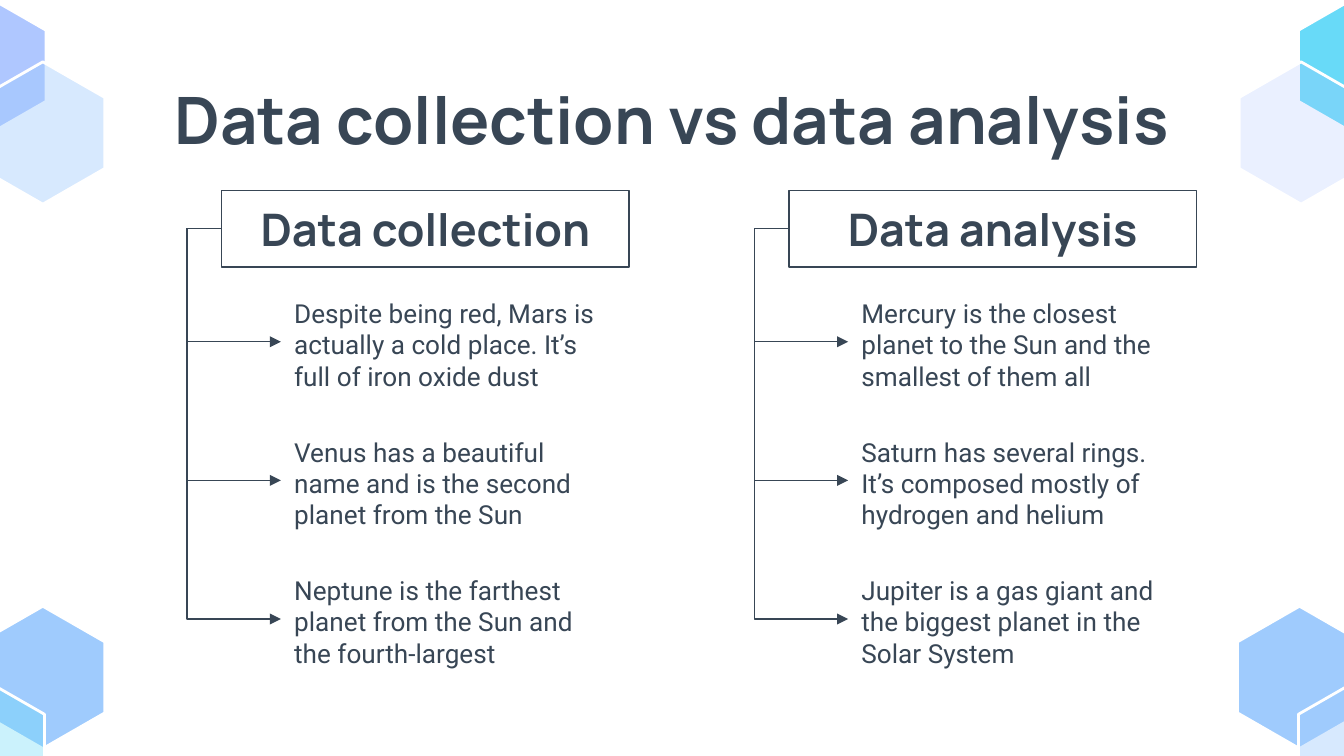
from dataclasses import dataclass

from lxml.etree import SubElement
from pptx import Presentation
from pptx.dml.color import RGBColor
from pptx.enum.shapes import MSO_CONNECTOR, MSO_SHAPE
from pptx.enum.text import MSO_ANCHOR, PP_ALIGN
from pptx.oxml.ns import qn
from pptx.util import Cm, Pt


@dataclass(frozen=True)
class Theme:
    ink: str = "384655"
    white: str = "FFFFFF"
    sky: str = "9FCBFD"
    cyan: str = "68DAF8"
    lilac: str = "AFC7FF"
    heading: str = "Manrope"
    body: str = "Roboto"
    title_pt: int = 35
    header_pt: int = 24
    body_pt: int = 14
    rule_pt: float = 0.75
    hex_line_pt: float = 1.5


T = Theme()
HEX_W, HEX_H = 2.34, 2.69


def rgb(colour):
    return RGBColor.from_string(colour)


def set_text(sp, text, font=T.body, size=T.body_pt, bold=False,
             align=PP_ALIGN.LEFT, anchor=MSO_ANCHOR.TOP):
    tf = sp.text_frame
    tf.word_wrap = True
    tf.vertical_anchor = anchor
    tf.margin_left = tf.margin_right = tf.margin_top = tf.margin_bottom = Cm(0.25)
    p = tf.paragraphs[0]
    p.alignment = align
    r = p.add_run()
    r.text = text
    r.font.name, r.font.size, r.font.bold = font, Pt(size), bold
    r.font.color.rgb = rgb(T.ink)


def add_text(s, box, text, **fmt):
    sp = s.shapes.add_textbox(*map(Cm, box))
    set_text(sp, text, **fmt)
    return sp


def add_hexagon(s, left, top, colour, opacity=100):
    outline = [(0.5, 0), (0, 0.25), (0, 0.75), (0.5, 1), (1, 0.75), (1, 0.25)]
    pts = [(Cm(left + x * HEX_W), Cm(top + y * HEX_H)) for x, y in outline]
    fb = s.shapes.build_freeform(*pts[0])
    fb.add_line_segments(pts[1:], close=True)
    sp = fb.convert_to_shape()
    sp.shadow.inherit = False
    sp.fill.solid()
    sp.fill.fore_color.rgb = rgb(colour)
    if opacity < 100:
        clr = sp._element.spPr.find(qn("a:solidFill"))[0]
        SubElement(clr, qn("a:alpha"), val=str(opacity * 1000))
    sp.line.color.rgb = rgb(T.white)
    sp.line.width = Pt(T.hex_line_pt)


def add_corner(s, back, front):
    """Two overlapping hexagons, the front one translucent."""
    add_hexagon(s, *back)
    add_hexagon(s, *front)


def add_branch(s, header, item):
    """Elbow arrow from the left side of the header to the left side of an item."""
    c = s.shapes.add_connector(MSO_CONNECTOR.ELBOW, 0, 0, 0, 0)
    c.begin_connect(header, 1)
    c.end_connect(item, 1)
    c.line.color.rgb = rgb(T.ink)
    c.line.width = Pt(T.rule_pt)
    spPr = c._element.spPr
    SubElement(spPr.find(qn("a:ln")), qn("a:tailEnd"), type="triangle")
    SubElement(spPr, qn("a:effectLst"))
    # Bend the elbow out to the left of both ends
    av = spPr.find(qn("a:prstGeom")).find(qn("a:avLst"))
    SubElement(av, qn("a:gd"), name="adj1", fmla="val -58500")


def add_column(s, box, heading, items):
    left, top, width, height = box
    header_h, item_h, indent, gap = 1.45, 2.18, 1.12, 0.32

    # Header
    header = s.shapes.add_shape(
        MSO_SHAPE.RECTANGLE, *map(Cm, (left, top, width, header_h)))
    header.shadow.inherit = False
    header.fill.background()
    header.line.color.rgb = rgb(T.ink)
    header.line.width = Pt(T.rule_pt)
    set_text(header, heading, font=T.heading, size=T.header_pt, bold=True,
             align=PP_ALIGN.CENTER, anchor=MSO_ANCHOR.MIDDLE)

    # Items, evenly spread down to the bottom of the box
    first = top + header_h + gap
    pitch = (top + height - item_h - first) / (len(items) - 1)
    for i, text in enumerate(items):
        item = add_text(
            s, (left + indent, first + i * pitch, width - indent, item_h), text)
        add_branch(s, header, item)


def main():
    prs = Presentation()
    prs.slide_width, prs.slide_height = Cm(25.4), Cm(14.29)
    s = prs.slides.add_slide(prs.slide_layouts[6])

    # Corner decoration: left, top, colour, opacity
    corners = [
        ((-0.36, 11.46, T.sky), (-1.5, 12.83, T.cyan, 34)),
        ((24.54, -0.1, T.cyan), (23.42, 1.17, T.lilac, 25)),
        ((23.39, 11.46, T.sky), (24.54, 12.83, T.sky, 41)),
        ((-1.47, -0.1, T.lilac), (-0.36, 1.17, T.sky, 41)),
    ]
    for back, front in corners:
        add_corner(s, back, front)

    # Title
    add_text(s, (2, 1.24, 21.4, 1.6), "Data collection vs data analysis",
             font=T.heading, size=T.title_pt, bold=True, align=PP_ALIGN.CENTER)

    # Columns
    columns = {
        "Data collection": [
            "Despite being red, Mars is actually a cold place. It’s full of iron oxide dust",
            "Venus has a beautiful name and is the second planet from the Sun",
            "Neptune is the farthest planet from the Sun and the fourth-largest",
        ],
        "Data analysis": [
            "Mercury is the closest planet to the Sun and the smallest of them all",
            "Saturn has several rings. It’s composed mostly of hydrogen and helium",
            "Jupiter is a gas giant and the biggest planet in the Solar System",
        ],
    }
    for i, (heading, items) in enumerate(columns.items()):
        add_column(s, (4.19 + i * 10.72, 3.6, 7.7, 9.19), heading, items)

    prs.save("out.pptx")


if __name__ == "__main__":
    main()
